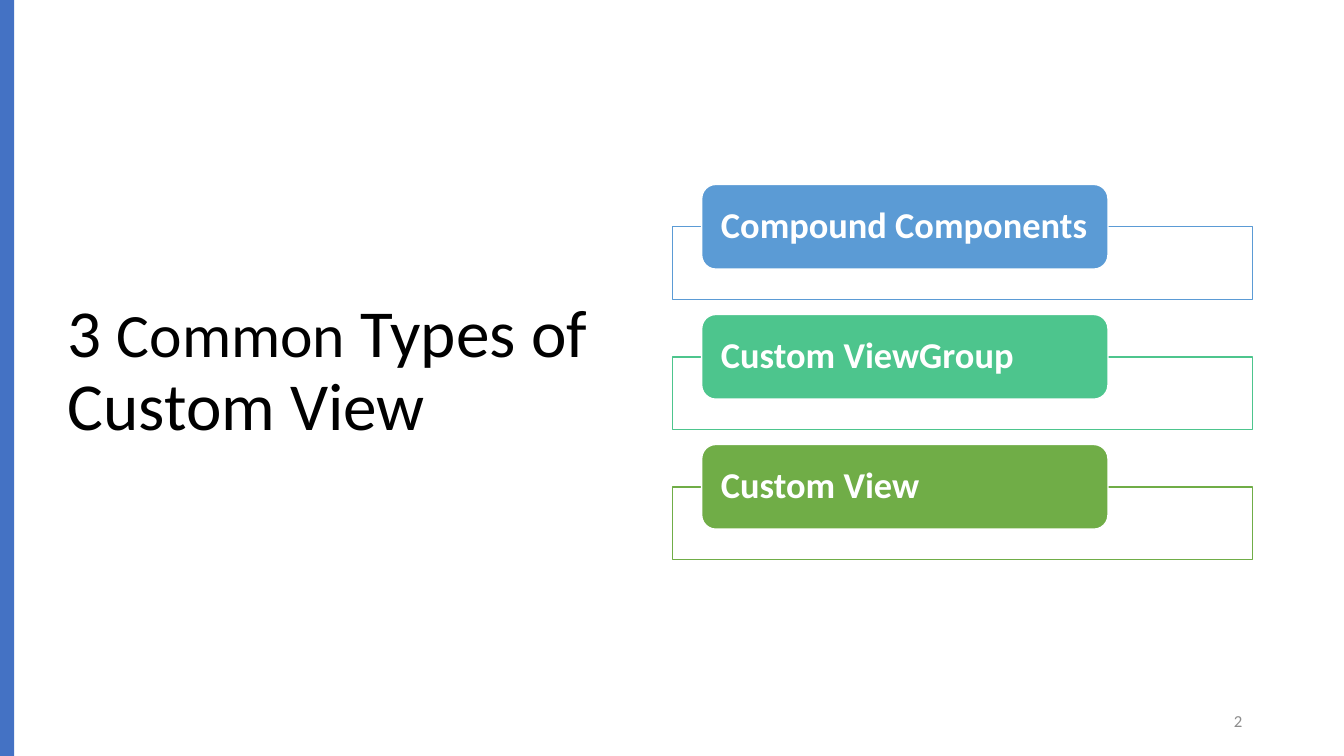
import dataclasses
import typing

import lxml.etree
import pptx
import pptx.dml.color
import pptx.enum.shapes
import pptx.enum.text
import pptx.oxml.ns
import pptx.util

SLIDE_WIDTH = pptx.util.Inches(13.33)
SLIDE_HEIGHT = pptx.util.Inches(7.5)
COLUMNS = 100
ROWS = 100
TITLE_ONLY = 5


@dataclasses.dataclass(frozen=True)
class Theme:
    font: str = "Calibri"
    black: str = "000000"
    white: str = "FFFFFF"
    grey: str = "8C8C8C"
    accent: str = "4472C4"
    title_size: float = 48
    small_title_size: float = 44
    label_size: float = 26
    number_size: float = 12
    line_spacing: float = 0.9
    line_width: float = 1


@dataclasses.dataclass(frozen=True)
class Area:
    column: float
    row: float
    columns: float
    rows: float

    def lower(self, rows: float) -> "Area":
        return dataclasses.replace(self, row=self.row + rows)

    def place(self) -> tuple[int, int, int, int]:
        return (
            round(SLIDE_WIDTH * self.column / COLUMNS),
            round(SLIDE_HEIGHT * self.row / ROWS),
            round(SLIDE_WIDTH * self.columns / COLUMNS),
            round(SLIDE_HEIGHT * self.rows / ROWS),
        )


@dataclasses.dataclass(frozen=True)
class ViewType:
    name: str
    color: str


THEME = Theme()
SIDE_BAR = Area(0, 0, 1.05, 100)
TITLE = Area(4.28, 9.07, 42.54, 80.27)
FRAME = Area(50.04, 30, 43.14, 9.6)
LABEL = Area(52.21, 24.4, 30.23, 11.2)
NUMBER = Area(70.67, 92.67, 22.5, 5.33)
ROW_STEP = 17.2
VIEW_TYPES = (
    ViewType("Compound Components", "5B9BD5"),
    ViewType("Custom ViewGroup", "4DC58D"),
    ViewType("Custom View", "70AD47"),
)


def rgb(color: str) -> pptx.dml.color.RGBColor:
    return pptx.dml.color.RGBColor.from_string(color)


def format_run(run: typing.Any, size: float, color: str, bold: bool = False) -> None:
    run.font.name = THEME.font
    run.font.size = pptx.util.Pt(size)
    run.font.color.rgb = rgb(color)
    run.font.bold = bold


def add_block(slide: typing.Any, kind: typing.Any, area: Area, fill: str,
              line: str | None = None) -> typing.Any:
    shape = slide.shapes.add_shape(kind, *area.place())
    shape.shadow.inherit = False
    shape.fill.solid()
    shape.fill.fore_color.rgb = rgb(fill)
    if line is None:
        shape.line.fill.background()
    else:
        shape.line.color.rgb = rgb(line)
        shape.line.width = pptx.util.Pt(THEME.line_width)
    return shape


def set_opacity(shape: typing.Any, percent: int) -> None:
    color = shape.fill._xPr.find(pptx.oxml.ns.qn("a:solidFill"))[0]
    alpha = lxml.etree.SubElement(color, pptx.oxml.ns.qn("a:alpha"))
    alpha.set("val", str(percent * 1000))


def fill_title(slide: typing.Any) -> None:
    title = slide.shapes.title
    title.left, title.top, title.width, title.height = TITLE.place()
    text_frame = title.text_frame
    text_frame.word_wrap = True
    text_frame.auto_size = pptx.enum.text.MSO_AUTO_SIZE.NONE
    text_frame.vertical_anchor = pptx.enum.text.MSO_ANCHOR.MIDDLE
    paragraph = text_frame.paragraphs[0]
    paragraph.alignment = pptx.enum.text.PP_ALIGN.LEFT
    paragraph.line_spacing = THEME.line_spacing
    for text, size in (
        ("3 ", THEME.title_size),
        ("Common", THEME.small_title_size),
        (" Types of Custom View", THEME.title_size),
    ):
        run = paragraph.add_run()
        run.text = text
        format_run(run, size, THEME.black)


def add_view_type(slide: typing.Any, view_type: ViewType, offset: float) -> None:
    shapes = pptx.enum.shapes.MSO_SHAPE
    frame = add_block(slide, shapes.RECTANGLE, FRAME.lower(offset), THEME.white, view_type.color)
    set_opacity(frame, 90)
    label = add_block(slide, shapes.ROUNDED_RECTANGLE, LABEL.lower(offset),
                      view_type.color, THEME.white)
    text_frame = label.text_frame
    text_frame.text = view_type.name
    text_frame.word_wrap = True
    text_frame.vertical_anchor = pptx.enum.text.MSO_ANCHOR.MIDDLE
    text_frame.margin_left = pptx.util.Inches(0.15)
    text_frame.margin_right = pptx.util.Inches(0.1)
    text_frame.margin_top = text_frame.margin_bottom = 0
    paragraph = text_frame.paragraphs[0]
    paragraph.alignment = pptx.enum.text.PP_ALIGN.LEFT
    paragraph.line_spacing = THEME.line_spacing
    format_run(paragraph.runs[0], THEME.label_size, THEME.white, bold=True)


def add_slide_number(slide: typing.Any, number: str) -> None:
    text_frame = slide.shapes.add_textbox(*NUMBER.place()).text_frame
    text_frame.text = number
    text_frame.word_wrap = True
    text_frame.vertical_anchor = pptx.enum.text.MSO_ANCHOR.MIDDLE
    paragraph = text_frame.paragraphs[0]
    paragraph.alignment = pptx.enum.text.PP_ALIGN.RIGHT
    format_run(paragraph.runs[0], THEME.number_size, THEME.grey)


def main() -> None:
    presentation = pptx.Presentation()
    presentation.slide_width = SLIDE_WIDTH
    presentation.slide_height = SLIDE_HEIGHT
    slide = presentation.slides.add_slide(presentation.slide_layouts[TITLE_ONLY])
    fill_title(slide)
    add_block(slide, pptx.enum.shapes.MSO_SHAPE.RECTANGLE, SIDE_BAR, THEME.accent)
    for index, view_type in enumerate(VIEW_TYPES):
        add_view_type(slide, view_type, index * ROW_STEP)
    add_slide_number(slide, "2")
    presentation.save("out.pptx")


if __name__ == "__main__":
    main()
